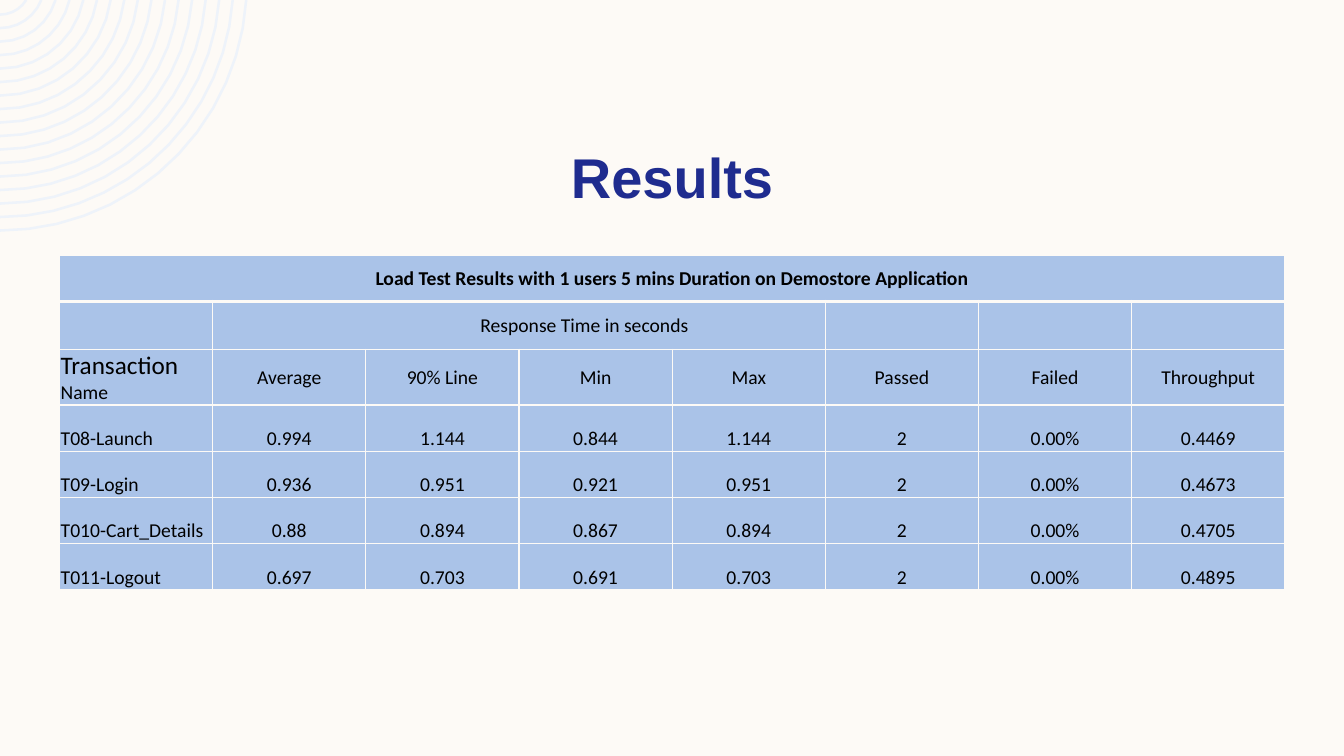
import math

from lxml import etree
from pptx import Presentation
from pptx.dml import color
from pptx.enum import text
from pptx.oxml import ns
from pptx.util import Cm, Pt

TITLE = "Results"
CAPTION = "Load Test Results with 1 users 5 mins Duration on Demostore Application"
GROUP = "Response Time in seconds"
NAME_HEADING = [("Transaction", 18), (" Name", 14)]
HEADINGS = ["Average", "90% Line", "Min", "Max", "Passed", "Failed", "Throughput"]
RESULTS = [
    ("T08-Launch", "0.994", "1.144", "0.844", "1.144", "2", "0.00%", "0.4469"),
    ("T09-Login", "0.936", "0.951", "0.921", "0.951", "2", "0.00%", "0.4673"),
    ("T010-Cart_Details", "0.88", "0.894", "0.867", "0.894", "2", "0.00%", "0.4705"),
    ("T011-Logout", "0.697", "0.703", "0.691", "0.703", "2", "0.00%", "0.4895"),
]
CREAM, NAVY, BLUE, PALE, BLACK = "FDFAF6", "1F2C8F", "AAC3E8", "EEF3FA", "000000"
COLUMN_WIDTH = 3.86
ROW_HEIGHTS = [1.16, 1.2, 1.4] + [1.16] * len(RESULTS)
GROUP_INDENT = 3.33
RING_COUNT, RING_STEP, RING_LINE = 17, 0.34, 1.8
RING_RADIUS, RING_CENTRE_Y = 6.22, -0.41

MIDDLE, BOTTOM, TOP = text.MSO_ANCHOR.MIDDLE, text.MSO_ANCHOR.BOTTOM, text.MSO_ANCHOR.TOP
LEFT, CENTER = text.PP_ALIGN.LEFT, text.PP_ALIGN.CENTER


def paint(fill, colour):
    fill.solid()
    fill.fore_color.rgb = color.RGBColor.from_string(colour)


def add_run(paragraph, content, size, font, colour, bold=False):
    run = paragraph.add_run()
    run.text = content
    run.font.size, run.font.name, run.font.bold = Pt(size), font, bold
    paint(run.font.fill, colour)


def arc(radius):
    start = math.asin(-RING_CENTRE_Y / radius)
    steps = 4 + round(1.5 * radius)
    for step in range(steps + 1):
        angle = start + (math.pi / 2 - start) * step / steps
        yield Cm(radius * math.cos(angle)), Cm(RING_CENTRE_Y + radius * math.sin(angle))


def add_rings(slide):
    arcs = [list(arc(RING_RADIUS - ring * RING_STEP)) for ring in range(RING_COUNT)]
    builder = slide.shapes.build_freeform(*arcs[0][0])
    for points in arcs:
        if points is not arcs[0]:
            builder.move_to(*points[0])
        builder.add_line_segments(points[1:], close=False)
    rings = builder.convert_to_shape()
    rings.shadow.inherit = False
    rings.fill.background()
    paint(rings.line.fill, PALE)
    rings.line.width = Pt(RING_LINE)


def set_borders(cell, widths):
    properties = cell._tc.get_or_add_tcPr()
    for position, (side, width) in enumerate(widths.items()):
        line = etree.Element(ns.qn(f"a:ln{side}"), w=str(Pt(width)))
        fill = etree.SubElement(line, ns.qn("a:solidFill"))
        etree.SubElement(fill, ns.qn("a:srgbClr"), val=CREAM)
        properties.insert(position, line)


def write(cell, runs, anchor, alignment=CENTER, bold=False, indent=0.03):
    cell.vertical_anchor = anchor
    cell.margin_left, cell.margin_right = Cm(indent), Cm(0.03)
    cell.margin_top, cell.margin_bottom = Cm(0.03), 0
    paragraph = cell.text_frame.paragraphs[0]
    paragraph.alignment = alignment
    for content, size in runs:
        add_run(paragraph, content, size, "Calibri", BLACK, bold)


def add_results(slide):
    columns = len(HEADINGS) + 1
    frame = slide.shapes.add_table(len(ROW_HEIGHTS), columns, Cm(1.5), Cm(6.44),
                                   Cm(COLUMN_WIDTH * columns), Cm(sum(ROW_HEIGHTS)))
    table = frame.table
    table.first_row = table.horz_banding = False
    for column in table.columns:
        column.width = Cm(COLUMN_WIDTH)
    for index, height in enumerate(ROW_HEIGHTS):
        table.rows[index].height = Cm(height)
        for cell in table.rows[index].cells:
            paint(cell.fill, BLUE)
            set_borders(cell, {"L": 1, "R": 1, "T": 3 if index == 1 else 1,
                               "B": 3 if index == 0 else 1})

    table.cell(0, 0).merge(table.cell(0, columns - 1))
    write(table.cell(0, 0), [(CAPTION, 14)], MIDDLE, bold=True)
    table.cell(1, 1).merge(table.cell(1, 4))
    write(table.cell(1, 1), [(GROUP, 14)], MIDDLE, indent=GROUP_INDENT)
    write(table.cell(2, 0), NAME_HEADING, TOP, LEFT)
    for column, heading in enumerate(HEADINGS, 1):
        write(table.cell(2, column), [(heading, 14)], MIDDLE)
    for row, values in enumerate(RESULTS, 3):
        for column, value in enumerate(values):
            write(table.cell(row, column), [(value, 14)], BOTTOM, CENTER if column else LEFT)


def main():
    presentation = Presentation()
    presentation.slide_width, presentation.slide_height = Cm(33.87), Cm(19.05)
    slide = presentation.slides.add_slide(presentation.slide_layouts[5])
    paint(slide.background.fill, CREAM)
    add_rings(slide)

    title = slide.shapes.title
    title.left, title.top, title.width, title.height = Cm(2.12), Cm(3.38), Cm(29.63), Cm(2.13)
    title.text_frame.vertical_anchor = MIDDLE
    paragraph = title.text_frame.paragraphs[0]
    paragraph.alignment = CENTER
    add_run(paragraph, TITLE, 40, "Arial", NAVY, True)

    add_results(slide)
    presentation.save("out.pptx")


if __name__ == "__main__":
    main()
